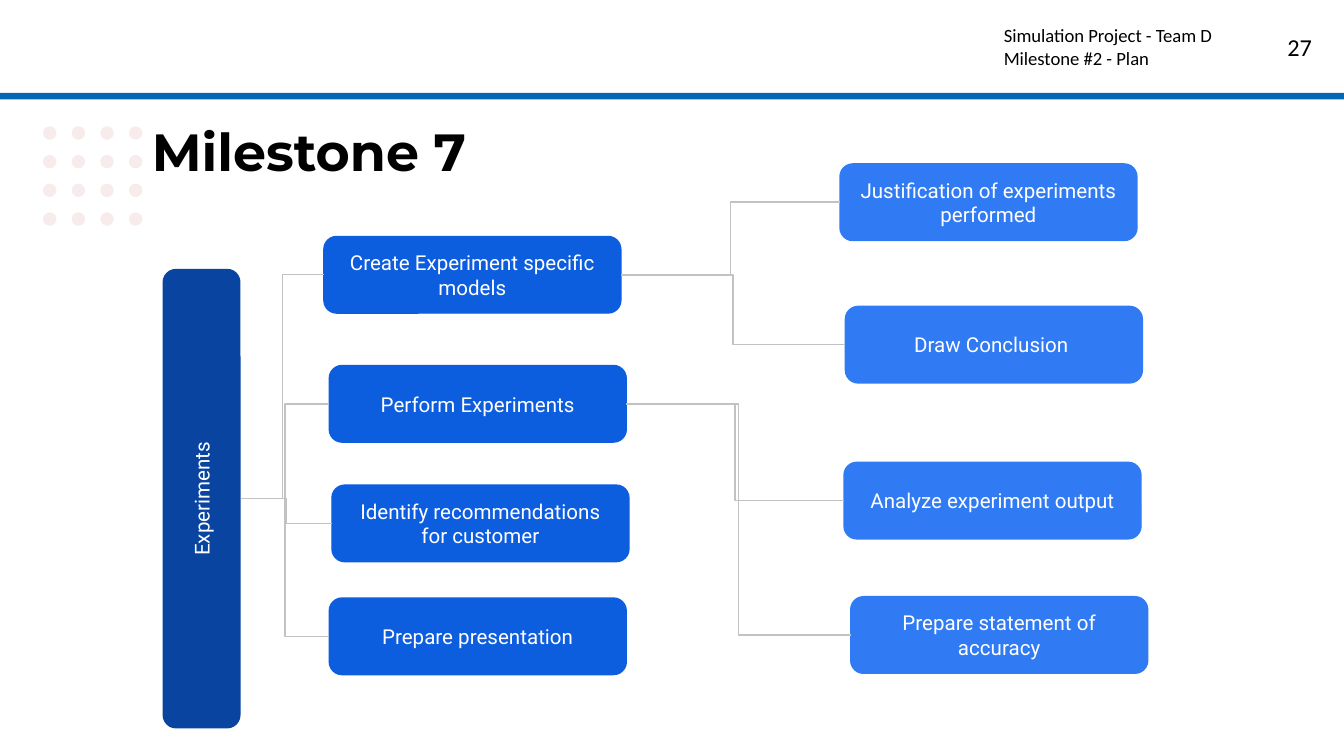
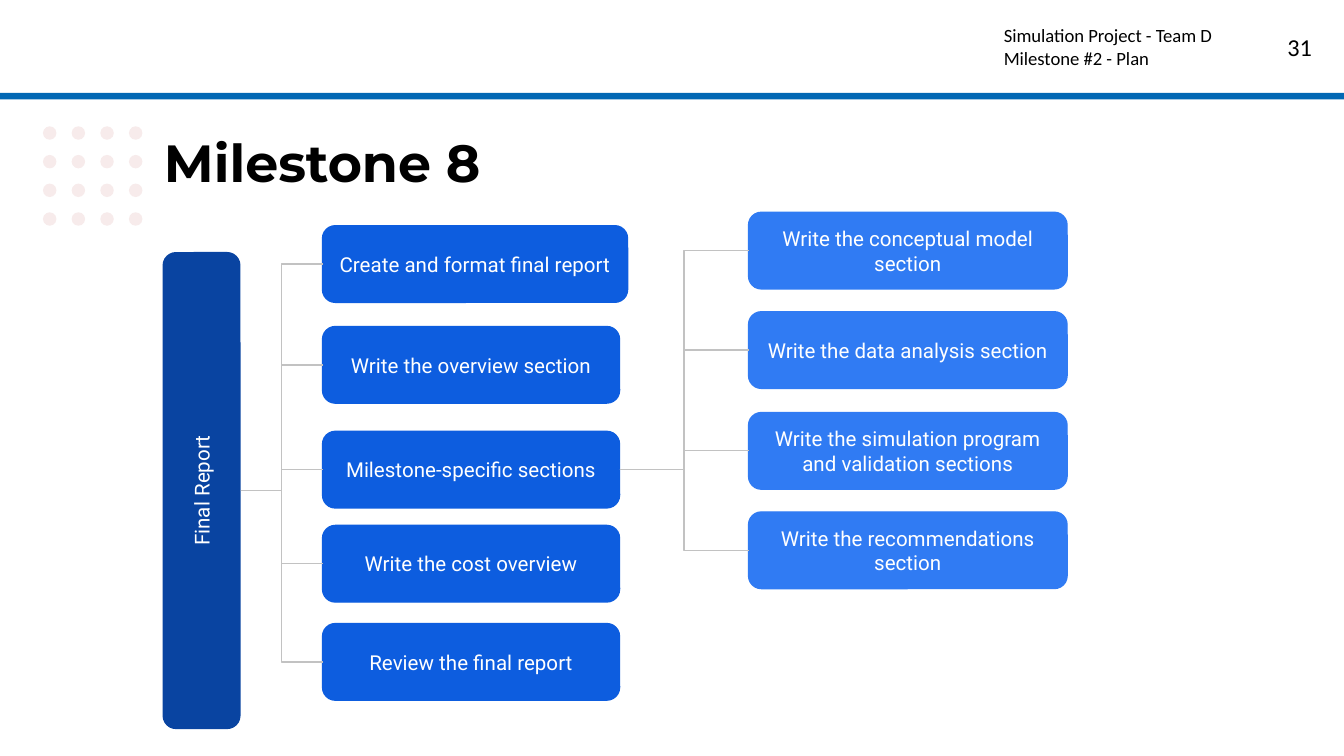
from lxml.etree import SubElement
from pptx import Presentation
from pptx.dml.color import RGBColor
from pptx.enum.shapes import MSO_CONNECTOR, MSO_SHAPE
from pptx.enum.text import MSO_ANCHOR, MSO_AUTO_SIZE, PP_ALIGN
from pptx.oxml.ns import qn
from pptx.util import Inches, Pt

BLACK, WHITE, GREY = "000000", "FFFFFF", "C2C2C2"
DOT, BAND = "F7EBEB", "0268B4"
ROOT, STEP, TASK = "0944A1", "0D5DDF", "307BF3"
TALL = 0.57
HEAD = {"name": "Montserrat", "size": Pt(28), "bold": True}
NOTE = {"name": "Calibri", "size": Pt(10)}
PAGE = {"name": "Calibri", "size": Pt(13)}
NODE = {"name": "Roboto", "size": Pt(11)}
FRAME = {"word_wrap": True, "auto_size": MSO_AUTO_SIZE.NONE}
FRAME |= {f"margin_{side}": Inches(0.1) for side in ("left", "top", "right", "bottom")}

PLANS = [
    {
        "title": "Milestone 7", "at": (1.03, 0.79), "page": "27",
        "root": ("Experiments", 3.41, 3.71),
        "nodes": [
            ("Create Experiment specific models", 2.41, 1.76, 2.21, 0),
            ("Perform Experiments", 2.45, 2.72, 2.21, 0),
            ("Identify recommendations for customer", 2.47, 3.61, 2.21, 0),
            ("Prepare presentation", 2.45, 4.45, 2.21, 0),
            ("Justification of experiments performed", 6.25, 1.22, 2.21, 1),
            ("Draw Conclusion ", 6.29, 2.28, 2.21, 1),
            ("Analyze experiment output", 6.28, 3.44, 2.21, 2),
            ("Prepare statement of accuracy", 6.33, 4.44, 2.21, 2),
        ],
    },
    {
        "title": "Milestone 8", "at": (1.12, 0.87), "page": "31",
        "root": ("Final Report", 3.54, 3.65),
        "nodes": [
            ("Create and format final report", 2.4, 1.68, 2.27, 0),
            ("Write the overview section", 2.4, 2.43, 2.21, 0),
            ("Milestone-specific sections", 2.4, 3.21, 2.21, 0),
            ("Write the cost overview", 2.4, 3.91, 2.21, 0),
            ("Review the final report", 2.4, 4.64, 2.21, 0),
            ("Write the conceptual model section", 5.57, 1.58, 2.37, 3),
            ("Write the data analysis section", 5.57, 2.32, 2.37, 3),
            ("Write the simulation program and validation sections", 5.57, 3.07, 2.37, 3),
            ("Write the recommendations section", 5.57, 3.81, 2.37, 3),
        ],
    },
]


def paint(fill, shade):
    fill.solid()
    fill.fore_color.rgb = RGBColor.from_string(shade)


def write(shape, text, look, shade, align, anchor=MSO_ANCHOR.TOP):
    frame = shape.text_frame
    frame.text = text
    frame.vertical_anchor = anchor
    for key, value in FRAME.items():
        setattr(frame, key, value)
    for para in frame.paragraphs:
        para.alignment = align
        for run in para.runs:
            for key, value in look.items():
                setattr(run.font, key, value)
            paint(run.font.fill, shade)


deck = Presentation()
deck.slide_width = Inches(10)
deck.slide_height = Inches(10) * 9 // 16
layout = deck.slide_layouts[5]
tree = layout.shapes.element
for holder in list(layout.placeholders)[1:]:
    tree.remove(holder.element)
slides = [deck.slides.add_slide(layout) for plan in PLANS]

decor = [
    (MSO_SHAPE.OVAL, 0.32 + 0.64 * col / 3, 0.94 + 0.64 * row / 3, 0.1, 0.1, DOT)
    for row in range(4) for col in range(4)
]
decor += [
    (MSO_SHAPE.RECTANGLE, 0, 0, 10, 0.69, WHITE),
    (MSO_SHAPE.RECTANGLE, 0, 0.69, 10, 0.05, BAND),
]
parts = []
for kind, *area, shade in decor:
    part = slides[0].shapes.add_shape(kind, *map(Inches, area))
    part.shadow.inherit = False
    paint(part.fill, shade)
    part.line.fill.background()
    parts.append(part)
for part in parts:
    tree.append(part.element)

for slide, plan in zip(slides, PLANS):
    shapes = slide.shapes
    title = shapes.title
    area = (*plan["at"], 4.85, 0.71)
    for key, value in zip(("left", "top", "width", "height"), area):
        setattr(title, key, Inches(value))
    write(title, plan["title"], HEAD, BLACK, PP_ALIGN.LEFT)

    page = shapes.add_textbox(*map(Inches, (9.26, 0.14, 0.6, 0.43)))
    write(page, plan["page"], PAGE, BLACK, PP_ALIGN.RIGHT)
    note = shapes.add_textbox(*map(Inches, (7.37, 0.08, 2.08, 0.52)))
    write(note, "Simulation Project - Team D\nMilestone #2 - Plan", NOTE, BLACK, PP_ALIGN.LEFT)

    name, span, mid = plan["root"]
    root = (name, 1.5 - span / 2, mid - TALL / 2, span, None)
    boxes = []
    for text, left, top, width, owner in [root, *plan["nodes"]]:
        shade = ROOT if owner is None else TASK if owner else STEP
        box = shapes.add_shape(
            MSO_SHAPE.ROUNDED_RECTANGLE, *map(Inches, (left, top, width, TALL)))
        box.shadow.inherit = False
        paint(box.fill, shade)
        paint(box.line.fill, shade)
        box.line.width = Pt(0.75)
        write(box, text, NODE, WHITE, PP_ALIGN.CENTER, MSO_ANCHOR.MIDDLE)
        boxes.append(box)
        if owner is None:
            box.rotation = 270
            continue
        link = shapes.add_connector(MSO_CONNECTOR.ELBOW, 0, 0, 0, 0)
        link.begin_connect(boxes[owner], 3 if owner else 2)
        link.end_connect(box, 1)
        if not owner:
            link.begin_x, link.begin_y = Inches(1.79), Inches(mid)
        paint(link.line.fill, GREY)
        link.line.width = Pt(0.75)
        SubElement(link.element.spPr, qn("a:effectLst"))

deck.save("out.pptx")
